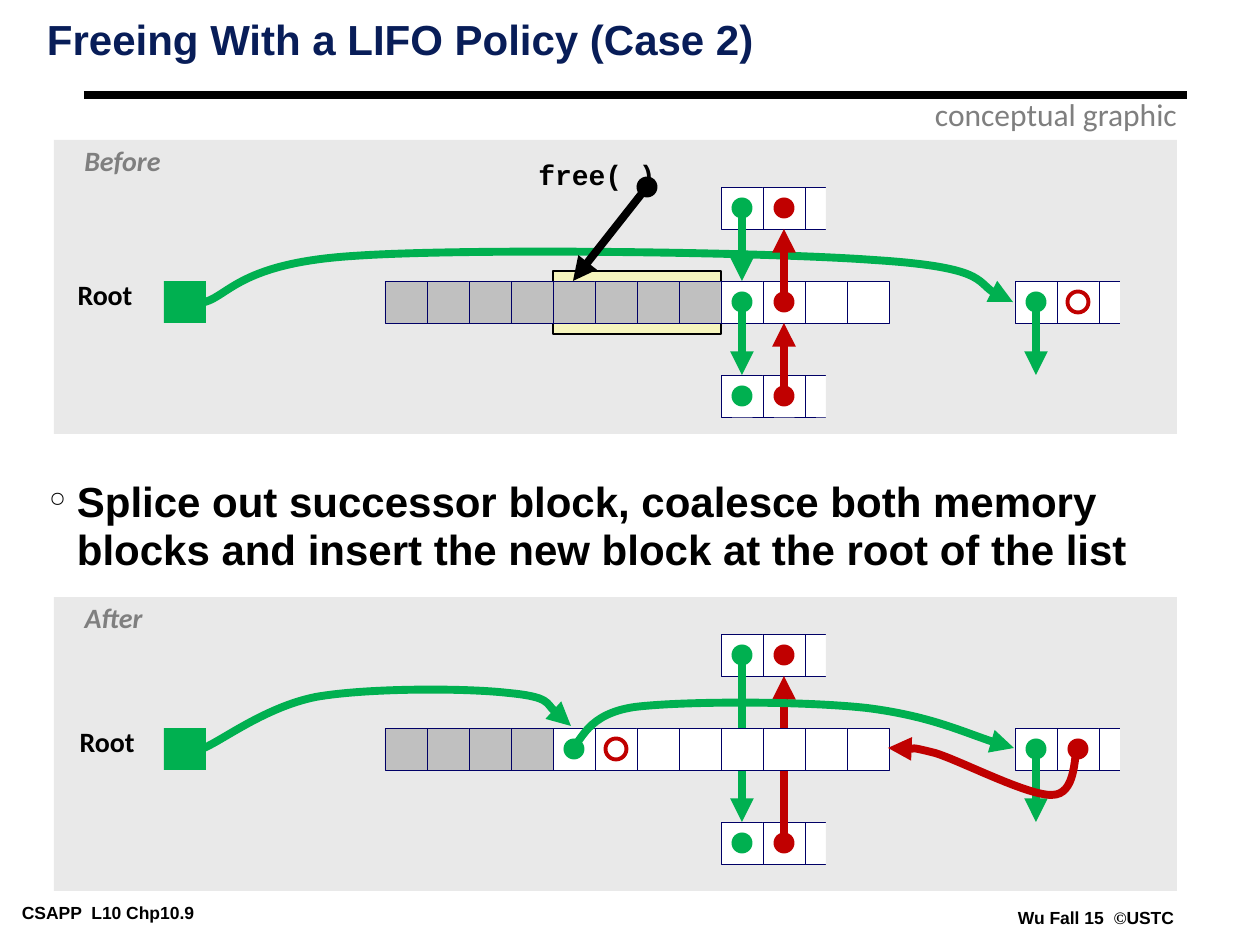
import pptx
import pptx.dml.color
import pptx.enum.shapes
import pptx.enum.text
import pptx.oxml
import pptx.oxml.ns
import pptx.util

RGB = pptx.dml.color.RGBColor
BLACK, WHITE = RGB(0, 0, 0), RGB(255, 255, 255)
NAVY, EDGE = RGB(0x08, 0x1D, 0x58), RGB(0, 0, 0x66)
PANEL, USED, GREY = RGB(0xE9, 0xE9, 0xE9), RGB(0xC0, 0xC0, 0xC0), RGB(0x7F, 0x7F, 0x7F)
GREEN, RED, YELLOW = RGB(0, 0xB0, 0x50), RGB(0xC0, 0, 0), RGB(0xF6, 0xF5, 0xBD)
RECT = pptx.enum.shapes.MSO_SHAPE.RECTANGLE
OVAL = pptx.enum.shapes.MSO_SHAPE.OVAL
LEFT, CENTER = pptx.enum.text.PP_ALIGN.LEFT, pptx.enum.text.PP_ALIGN.CENTER
PX = pptx.util.Inches(1) / 126
CELL, DOT, ROW_GAP = 42, 21, 94
LIST_COL, NEXT_COL = 8, 15


def emu(*px):
    return [round(v * PX) for v in px]


def element(tag, **attrs):
    el = pptx.oxml.parse_xml(f"<{tag} {pptx.oxml.ns.nsdecls('a')}/>")
    for name, value in attrs.items():
        el.set(name, value)
    return el


def shape(s, kind, x, y, w, h, fill=None, line=None, weight=0.25):
    sp = s.shapes.add_shape(kind, *emu(x, y, w, h))
    sp.shadow.inherit = False
    if fill is None:
        sp.fill.background()
    else:
        sp.fill.solid()
        sp.fill.fore_color.rgb = fill
    if line is None:
        sp.line.fill.background()
    else:
        sp.line.color.rgb = line
        sp.line.width = pptx.util.Pt(weight)


def dot(s, cx, cy, color, hollow=False):
    fill, line = (None, color) if hollow else (color, None)
    shape(s, OVAL, cx - DOT / 2, cy - DOT / 2, DOT, DOT, fill, line, 2.25)


def stroke(sp, color, head=True):
    sp.line.color.rgb = color
    sp.line.width = pptx.util.Pt(4.5)
    if head:
        sp.line._get_or_add_ln().append(element("a:tailEnd", type="triangle"))


def line(s, x1, y1, x2, y2, color, head=True):
    cxn = s.shapes.add_connector(
        pptx.enum.shapes.MSO_CONNECTOR.STRAIGHT, *emu(x1, y1, x2, y2))
    stroke(cxn, color, head)
    cxn._element.spPr.append(element("a:effectLst"))


def curve(s, x, y, points, color):
    """Draw cubic Bezier segments: a start point, then three points for each segment."""
    start, *rest = [tuple(emu(x + px, y + py)) for px, py in points]
    builder = s.shapes.build_freeform(*start)
    builder.add_line_segments(rest, close=False)
    sp = builder.convert_to_shape()
    sp.shadow.inherit = False
    sp.fill.background()
    stroke(sp, color)
    steps = sp._element.findall(".//" + pptx.oxml.ns.qn("a:lnTo"))
    outline = steps[0].getparent()
    for i in range(0, len(steps), 3):
        bezier = element("a:cubicBezTo")
        for step in steps[i:i + 3]:
            bezier.append(step[0])
            outline.remove(step)
        outline.append(bezier)


def text(s, box, runs, size, color, inset=(6, 6), align=LEFT, wrap=False,
         bold=True, italic=False, spacing=None):
    """Place one paragraph of (words, font) runs and return it."""
    tf = s.shapes.add_textbox(*emu(*box)).text_frame
    tf.word_wrap = wrap
    tf.margin_left = tf.margin_right = emu(inset[0])[0]
    tf.margin_top = tf.margin_bottom = emu(inset[1])[0]
    p = tf.paragraphs[0]
    p.alignment = align
    if spacing:
        p.line_spacing = spacing
    for words, font in runs:
        r = p.add_run()
        r.text = words
        r.font.name, r.font.size = font, pptx.util.Pt(size)
        r.font.bold, r.font.italic = bold, italic
        r.font.color.rgb = color
    return p


def label(s, box, words, color=BLACK, font="Calibri", italic=False):
    text(s, box, [(words, font)], 16, color, align=CENTER, italic=italic, spacing=0.9)


def cells(s, x, y, fills):
    for i, fill in enumerate(fills):
        shape(s, RECT, x + i * CELL, y, CELL, CELL, fill, EDGE)


def cut_block(s, x, y):
    """Draw a block whose third cell is cut off halfway."""
    cells(s, x, y, [WHITE] * 3)
    shape(s, RECT, x + 2.5 * CELL, y - 10, CELL, 63, PANEL)


def panel(s, x, y, row, title, title_width, root_x):
    """Draw what both states share; return column centre and row centre functions."""
    shape(s, RECT, x, y, 1123, 294, PANEL)
    label(s, (x + 24, y + 1, title_width, 43), title, GREY, italic=True)
    label(s, (x + root_x, y + row - 6, 68, 43), "Root")
    shape(s, RECT, x + 110, y + row, CELL, CELL, GREEN)

    def col(i):
        return x + 331 + i * CELL + CELL / 2

    def mid(i):
        return y + row + i * ROW_GAP + CELL / 2

    for i, j in ((LIST_COL, -1), (LIST_COL, 1), (NEXT_COL, 0)):
        cut_block(s, col(i) - CELL / 2, mid(j) - CELL / 2)
    for j in (-1, 1):
        dot(s, col(LIST_COL), mid(j), GREEN)
        dot(s, col(LIST_COL + 1), mid(j), RED)
    dot(s, col(NEXT_COL), mid(0), GREEN)
    line(s, col(NEXT_COL), mid(0), col(NEXT_COL), mid(1) - CELL / 2, GREEN)
    return col, mid


def links(s, col, mid, reach):
    """Join the list blocks, each link spanning `reach` rows."""
    for j in range(-1, 2 - reach):
        line(s, col(LIST_COL), mid(j), col(LIST_COL), mid(j + reach) - CELL / 2, GREEN)
        line(s, col(LIST_COL + 1), mid(j + reach), col(LIST_COL + 1), mid(j) + CELL / 2, RED)


def before(s, x, y):
    col, mid = panel(s, x, y, 141, "Before", 89, 17)
    left, top = col(0) - CELL / 2, mid(0) - CELL / 2
    shape(s, RECT, left + 4 * CELL, top - 10, 4 * CELL, 63, YELLOW, BLACK, 0.75)
    curve(s, x, y, [(151, 162), (175, 155), (188, 123), (299, 116), (411, 108),
                    (710, 112), (820, 120), (930, 127), (930, 154), (959, 162)], GREEN)
    cells(s, left, top, [USED] * 8 + [WHITE] * 4)
    dot(s, col(LIST_COL), mid(0), GREEN)
    dot(s, col(LIST_COL + 1), mid(0), RED)
    links(s, col, mid, 1)
    dot(s, col(NEXT_COL + 1), mid(0), RED, hollow=True)
    label(s, (x + 478, y + 15, 130, 43), "free( )", font="Courier New")
    dot(s, x + 593, y + 47, BLACK)
    line(s, x + 593, y + 47, x + 519, y + 141, BLACK)


def after(s, x, y):
    col, mid = panel(s, x, y, 131, "After", 71, 19)
    links(s, col, mid, 2)
    cells(s, col(0) - CELL / 2, mid(0) - CELL / 2, [USED] * 4 + [WHITE] * 8)
    dot(s, col(4), mid(0), GREEN)
    dot(s, col(5), mid(0), RED, hollow=True)
    dot(s, col(NEXT_COL + 1), mid(0), RED)
    curve(s, x, y, [(150, 151), (169, 143), (212, 110), (262, 100), (313, 91),
                    (411, 91), (454, 96), (497, 100), (504, 121), (517, 129)], GREEN)
    curve(s, x, y, [(518, 151), (528, 145), (532, 117), (581, 110), (630, 104),
                    (750, 104), (813, 111), (876, 119), (930, 144), (960, 151)], GREEN)
    curve(s, x, y, [(1023, 151), (1020, 160), (1022, 198), (998, 198), (974, 199),
                    (907, 164), (881, 156), (853, 149), (844, 153), (834, 151)], RED)


def heading(s, x, y):
    line(s, x + 46, y + 79, x + 1149, y + 79, BLACK, head=False)
    text(s, (x, y, 1201, 108), [("Freeing With a LIFO Policy (Case 2)", "Arial")],
         24, NAVY, (9, 4), wrap=True, spacing=0.87)
    text(s, (x + 884, y + 73, 268, 50), [("conceptual graphic", "Calibri")],
         18, GREY, (13, 6), CENTER, bold=False)


def bullet(s, x, y):
    p = text(s, (x, y, 1145, 108),
             [("Splice out successor block, coalesce both memory blocks "
               "and insert the new block at the root of the list", "Arial")],
             24, BLACK, (9, 4), wrap=True, spacing=0.95)
    pPr = p._p.get_or_add_pPr()
    indent = emu(28)[0]
    pPr.set("marL", str(indent))
    pPr.set("indent", str(-indent))
    color = element("a:buClr")
    color.append(element("a:srgbClr", val=str(BLACK)))
    pPr.append(color)
    pPr.append(element("a:buChar", char="°"))


def footer(s, x, y):
    text(s, (x, y, 265, 28), [("CSAPP  L10 Chp10.9", "Arial")], 10, BLACK, (9, 4), wrap=True)
    text(s, (x + 996, y + 5, 174, 28),
         [("Wu Fall 15  ", "Arial"), ("©", "Times New Roman"), ("USTC", "Arial")],
         10, BLACK, (9, 4))


def main():
    prs = pptx.Presentation()
    prs.slide_width, prs.slide_height = emu(1260, 945)
    s = prs.slides.add_slide(prs.slide_layouts[6])
    footer(s, 13, 898)
    heading(s, 38, 16)
    before(s, 54, 140)
    bullet(s, 40, 475)
    after(s, 54, 597)
    prs.save("out.pptx")


if __name__ == "__main__":
    main()
